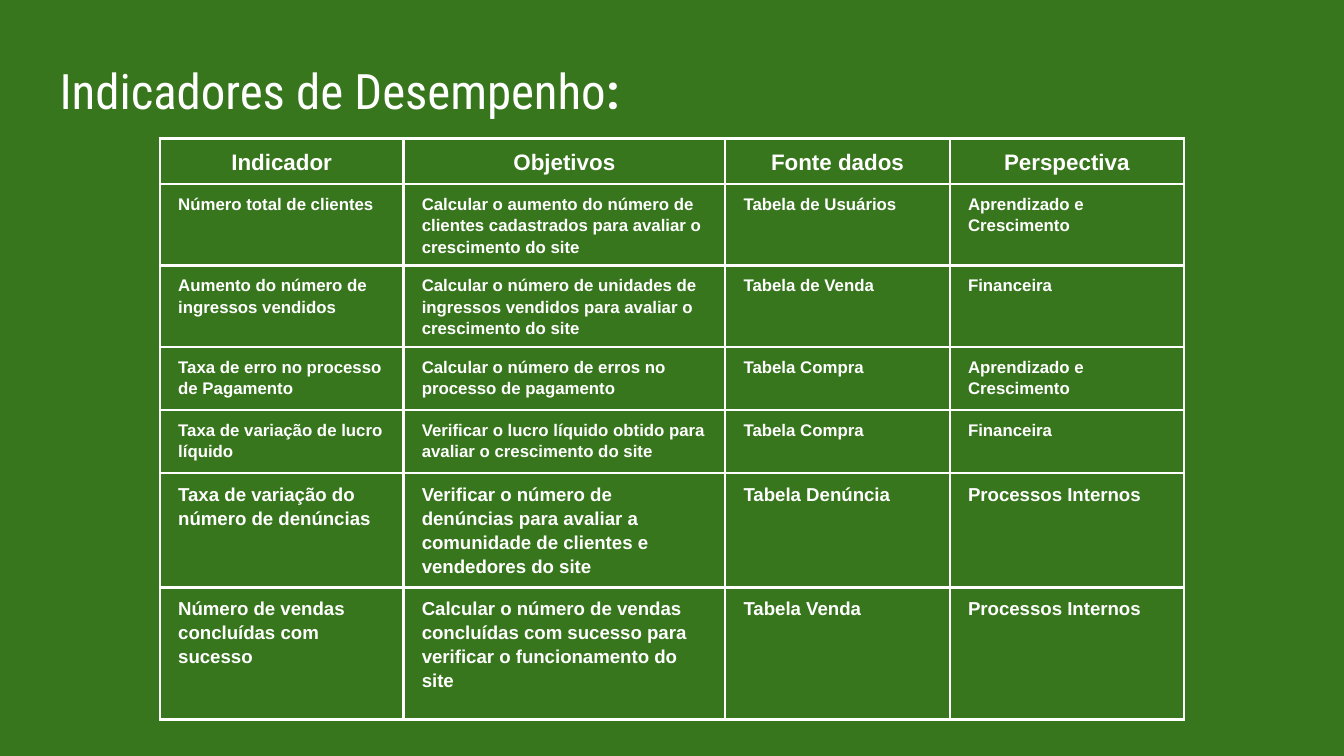
from typing import NamedTuple

from lxml.etree import SubElement
from pptx import Presentation
from pptx.dml.color import RGBColor
from pptx.enum.text import MSO_ANCHOR as Anchor, PP_ALIGN as Align
from pptx.oxml.ns import qn
from pptx.util import Pt

GREEN = "38761D"
WHITE = "FFFFFF"


class Indicator(NamedTuple):
    name: str
    goal: str
    source: str
    perspective: str
    height: float
    size: float = 9
    align: Align = Align.LEFT


COLUMN_WIDTHS = [130.5, 172.4, 120.3, 125.5]
INDICATORS = [
    Indicator("Indicador", "Objetivos", "Fonte dados", "Perspectiva",
              24.4, 12, Align.CENTER),
    Indicator("Número total de clientes",
              "Calcular o aumento do número de clientes cadastrados para avaliar o crescimento do site",
              "Tabela de Usuários", "Aprendizado e Crescimento", 43.7),
    Indicator("Aumento do número de ingressos vendidos",
              "Calcular o número de unidades de ingressos vendidos para avaliar o crescimento do site",
              "Tabela de Venda", "Financeira", 43.7),
    Indicator("Taxa de erro no processo de Pagamento",
              "Calcular o número de erros no processo de pagamento",
              "Tabela Compra", "Aprendizado e Crescimento", 33.8),
    Indicator("Taxa de variação de lucro líquido",
              "Verificar o lucro líquido obtido para avaliar o crescimento do site",
              "Tabela Compra", "Financeira", 33.8),
    Indicator("Taxa de variação do número de denúncias",
              "Verificar o número de denúncias para avaliar a comunidade de clientes e vendedores do site",
              "Tabela Denúncia", "Processos Internos", 61.2, 10),
    Indicator("Número de vendas concluídas com sucesso",
              "Calcular o número de vendas concluídas com sucesso para verificar o funcionamento do site",
              "Tabela Venda", "Processos Internos", 70.8, 10),
]


def rgb(color: str) -> RGBColor:
    return RGBColor.from_string(color)


def add_text(p, text: str, *, size: float, font: str = "Arial",
             bold: bool = True, color: str = WHITE) -> None:
    r = p.add_run()
    r.text = text
    r.font.size = Pt(size)
    r.font.name = font
    r.font.bold = bold
    r.font.color.rgb = rgb(color)


def set_borders(cell, color: str, width: float) -> None:
    tc_pr = cell._tc.get_or_add_tcPr()
    for index, side in enumerate(("lnL", "lnR", "lnT", "lnB")):
        ln = tc_pr.makeelement(qn(f"a:{side}"), {"w": str(Pt(width))})
        fill = SubElement(ln, qn("a:solidFill"))
        SubElement(fill, qn("a:srgbClr"), val=color)
        tc_pr.insert(index, ln)


def add_title(s) -> None:
    sp = s.shapes.add_textbox(Pt(24.8), Pt(25.2), Pt(671), Pt(45.4))
    tf = sp.text_frame
    tf.word_wrap = True
    tf.margin_left = tf.margin_right = tf.margin_top = tf.margin_bottom = Pt(7.2)
    p = tf.paragraphs[0]
    add_text(p, "Indicadores de Desempenho", size=26.2,
             font="Roboto Condensed", bold=False)
    add_text(p, ":", size=26, font="Roboto Condensed")


def fill_cell(cell, text: str, size: float, align: Align) -> None:
    cell.fill.background()
    cell.margin_left = cell.margin_right = Pt(9.8)
    cell.margin_top = Pt(4.3)
    cell.margin_bottom = Pt(1)
    cell.vertical_anchor = Anchor.TOP
    p = cell.text_frame.paragraphs[0]
    p.alignment = align
    p.line_spacing = 1.15
    add_text(p, text, size=size)
    set_borders(cell, WHITE, 1.5)


def add_indicators(s) -> None:
    heights = [item.height for item in INDICATORS]
    table = s.shapes.add_table(
        len(heights), len(COLUMN_WIDTHS), Pt(85.7), Pt(74.2),
        Pt(sum(COLUMN_WIDTHS)), Pt(sum(heights))).table
    table.first_row = table.horz_banding = False
    for column, width in zip(table.columns, COLUMN_WIDTHS):
        column.width = Pt(width)
    for row, item in zip(table.rows, INDICATORS):
        row.height = Pt(item.height)
        for cell, text in zip(row.cells, item[:4]):
            fill_cell(cell, text, item.size, item.align)


def main() -> None:
    prs = Presentation()
    prs.slide_width, prs.slide_height = Pt(720), Pt(405)
    s = prs.slides.add_slide(prs.slide_layouts[6])
    s.background.fill.solid()
    s.background.fill.fore_color.rgb = rgb(GREEN)
    add_title(s)
    add_indicators(s)
    prs.save("out.pptx")


if __name__ == "__main__":
    main()
